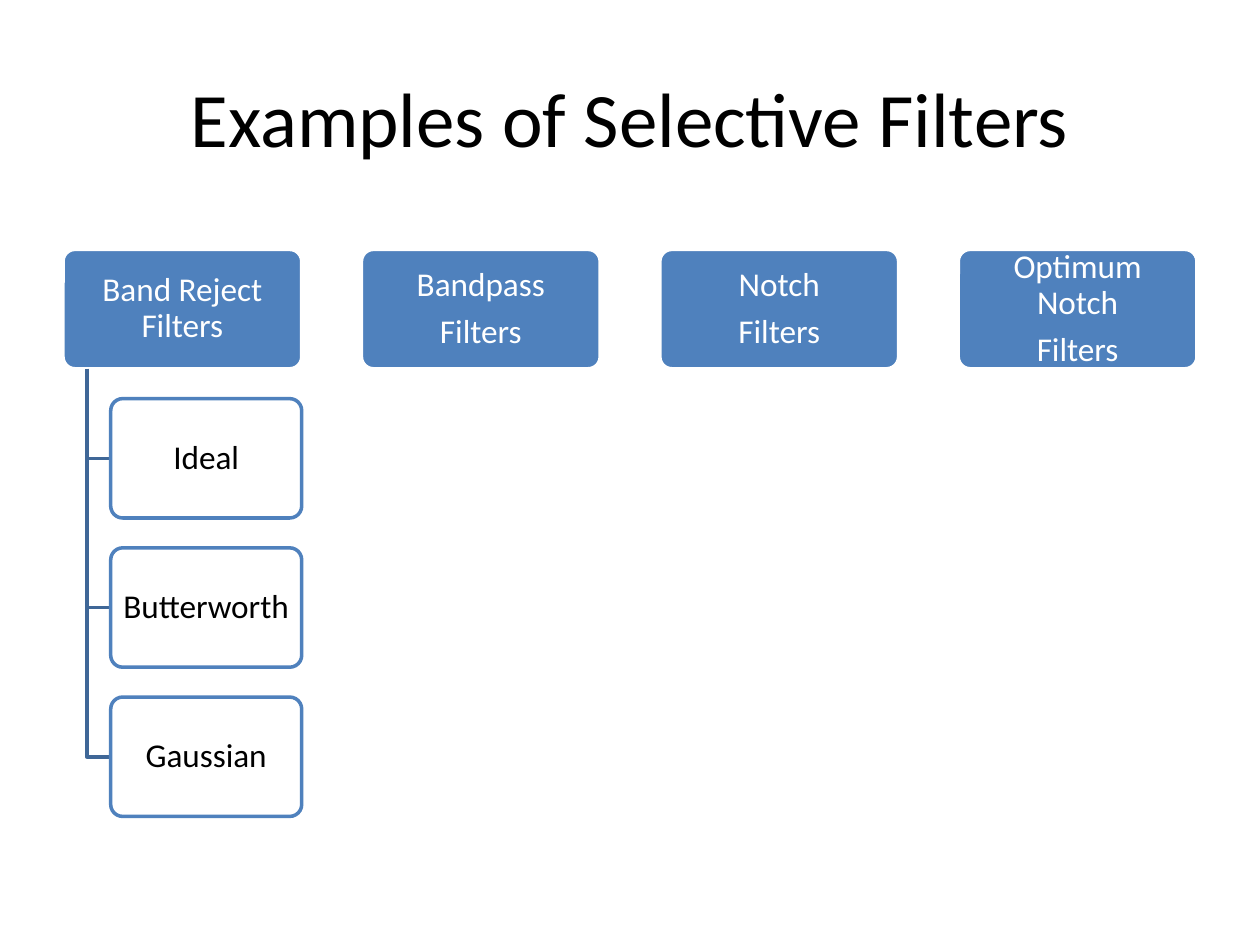
from lxml.etree import SubElement
from pptx import Presentation
from pptx.dml.color import RGBColor
from pptx.enum.shapes import MSO_SHAPE as Shape
from pptx.enum.text import MSO_ANCHOR as Anchor, PP_ALIGN as Align
from pptx.oxml.ns import qn
from pptx.util import Inches, Pt

WHITE = RGBColor(0xFF, 0xFF, 0xFF)
BLACK = RGBColor(0x00, 0x00, 0x00)
BLUE = RGBColor(0x4F, 0x81, 0xBD)
DARK_BLUE = RGBColor(0x3F, 0x67, 0x97)

LEFT, TOP = 0.5, 1.98
COLUMN = 9 / 3.8  # four boxes of 0.8 column fill nine inches
ROW = COLUMN / 2
BOX = 0.8  # share of a column or row that a box takes
CHILD_INDENT, CHILD_WIDTH = 0.16, 0.64
TRUNK = 0.08

FILTERS = [
    (["Band Reject Filters"], ["Ideal", "Butterworth", "Gaussian"]),
    (["Bandpass", "Filters"], []),
    (["Notch", "Filters"], []),
    (["Optimum Notch", "Filters"], []),
]


def set_all(target, values):
    for name, value in values.items():
        setattr(target, name, value)


def x_at(column):
    return Inches(LEFT + column * COLUMN)


def y_at(row):
    return Inches(TOP + row * ROW)


class TreeSlide:
    frame = {
        "word_wrap": True, "vertical_anchor": Anchor.MIDDLE,
        "margin_left": Inches(0.07), "margin_right": Inches(0.07),
        "margin_top": Inches(0.06), "margin_bottom": Inches(0.06),
    }
    para = {"alignment": Align.CENTER, "line_spacing": 0.9,
            "space_after": Pt(6.65)}
    font = {"name": "Calibri", "size": Pt(19)}

    def __init__(self, deck):
        self.page = deck.slides.add_slide(deck.slide_layouts[5])

    def title(self, text):
        title = self.page.shapes.title
        set_all(title, {"left": Inches(0.5), "top": Inches(0.3),
                        "width": Inches(9), "height": Inches(1.25)})
        title.text_frame.text = text
        title.text_frame.vertical_anchor = Anchor.MIDDLE
        para = title.text_frame.paragraphs[0]
        para.alignment = Align.CENTER
        set_all(para.font, {"name": "Calibri", "size": Pt(44)})
        para.font.color.rgb = BLACK

    def outline(self, shape, color):
        shape.shadow.inherit = False
        shape.line.color.rgb = color
        shape.line.width = Pt(2)

    def box(self, lines, column, row, width, fill, line, ink, opacity=100):
        box = self.page.shapes.add_shape(
            Shape.ROUNDED_RECTANGLE, x_at(column), y_at(row),
            Inches(width * COLUMN), Inches(BOX * ROW))
        box.adjustments[0] = 0.1
        box.fill.solid()
        box.fill.fore_color.rgb = fill
        if opacity < 100:
            color = box.fill._xPr.find(".//" + qn("a:srgbClr"))
            SubElement(color, qn("a:alpha"), val=str(opacity * 1000))
        self.outline(box, line)
        set_all(box.text_frame, self.frame)
        box.text_frame.text = "\n".join(lines)
        for para in box.text_frame.paragraphs:
            set_all(para, self.para)
            set_all(para.font, self.font)
            para.font.color.rgb = ink

    def branch(self, column, parent_row, child_row):
        """Draw the elbow from under a parent box to a child's left edge."""
        x, y = x_at(column + TRUNK), y_at(child_row + BOX / 2)
        builder = self.page.shapes.build_freeform(x, y_at(parent_row + BOX))
        builder.add_line_segments(
            [(x, y), (x_at(column + CHILD_INDENT), y)], close=False)
        elbow = builder.convert_to_shape()
        elbow.fill.background()
        self.outline(elbow, DARK_BLUE)


def main():
    deck = Presentation()
    deck.slide_width, deck.slide_height = Inches(10), Inches(7.5)
    slide = TreeSlide(deck)
    slide.title("Examples of Selective Filters")
    for column, (lines, children) in enumerate(FILTERS):
        slide.box(lines, column, 0, BOX, BLUE, WHITE, WHITE)
        for row, child in enumerate(children, start=1):
            slide.branch(column, 0, row)
            slide.box([child], column + CHILD_INDENT, row, CHILD_WIDTH,
                      WHITE, BLUE, BLACK, opacity=90)
    deck.save("out.pptx")


if __name__ == "__main__":
    main()
